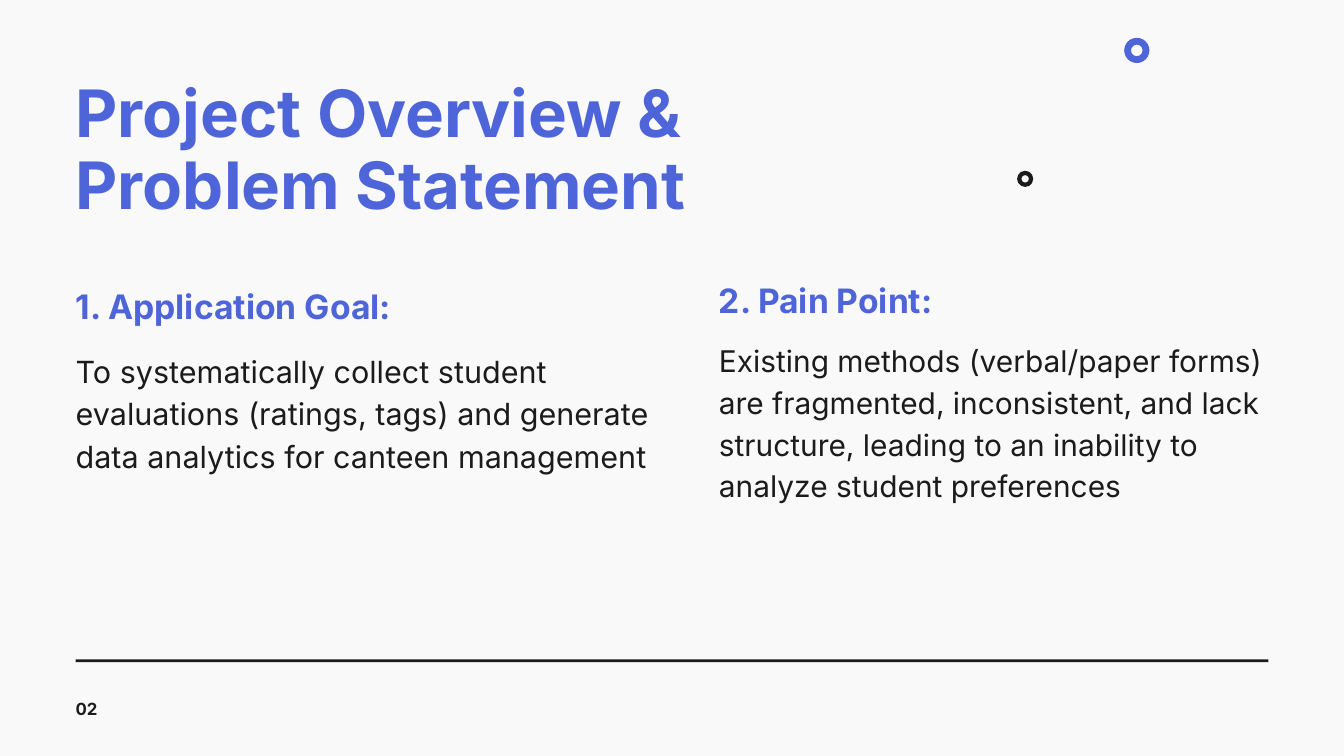
from pptx import Presentation
from pptx import util as u
from pptx.dml.color import RGBColor
from pptx.enum import shapes, text

PX = 9525  # EMU per px, on a 1920 x 1080 page
COLOURS = {"paper": "F9F9FA", "blue": "4E65D9", "ink": "1B1B1B"}
FONT = "Inter"
MARGIN, RIGHT = 108, 1812

TITLE = "Project Overview & Problem Statement"
PAGE_NUMBER = "02"
# left, width, (heading, top, size, line spacing), (body, top, height, size, line spacing)
COLUMNS = [
    (MARGIN, 886,
     ("1. Application Goal:", 399, 36.1, 50.5),
     ("To systematically collect student evaluations (ratings, tags) and generate "
      "data analytics for canteen management", 495, 180, 32.7, 45.8)),
    (1027, 785,
     ("2. Pain Point:", 390, 36, 50.4),
     ("Existing methods (verbal/paper forms) are fragmented, inconsistent, and lack "
      "structure, leading to an inability to analyze student preferences",
      481, 232, 32, 44.8)),
]
# left, top, diameter, colour
RINGS = [(1606, 54, 36, "blue"), (1453, 244, 23, "ink")]


def colour(name):
    return RGBColor.from_string(COLOURS[name])


def place(shape, left, top, width, height):
    shape.left, shape.top, shape.width, shape.height = (
        n * PX for n in (left, top, width, height))


def write(box, wording, size, spacing, name, bold):
    """Fill a box with one unpadded, left-aligned paragraph."""
    frame = box.text_frame
    frame.text = wording
    frame_format = {
        "margin_left": 0, "margin_top": 0, "margin_right": 0, "margin_bottom": 0,
        "word_wrap": True, "auto_size": text.MSO_AUTO_SIZE.NONE,
        "vertical_anchor": text.MSO_ANCHOR.TOP,
    }
    for key, value in frame_format.items():
        setattr(frame, key, value)
    para = frame.paragraphs[0]
    para.alignment = text.PP_ALIGN.LEFT
    para.space_before = u.Pt(0)
    para.line_spacing = u.Pt(spacing)
    span = para.runs[0]
    for key, value in {"name": FONT, "size": u.Pt(size), "bold": bold}.items():
        setattr(span.font, key, value)
    span.font.color.rgb = colour(name)


def add_text(page, area, *style):
    box = page.shapes.add_textbox(0, 0, 0, 0)
    place(box, *area)
    write(box, *style)


def add_solid(page, kind, area, name):
    shape = page.shapes.add_shape(kind, 0, 0, 0, 0)
    place(shape, *area)
    shape.shadow.inherit = False
    shape.fill.solid()
    shape.fill.fore_color.rgb = colour(name)
    shape.line.fill.background()
    return shape


def main():
    deck = Presentation()
    deck.slide_width, deck.slide_height = 1920 * PX, 1080 * PX
    page = deck.slides.add_slide(deck.slide_layouts[5])
    page.background.fill.solid()
    page.background.fill.fore_color.rgb = colour("paper")

    title = page.shapes.title
    place(title, MARGIN, 113, 1097, 208)
    write(title, TITLE, 70, 77, "blue", True)

    for left, width, heading, body in COLUMNS:
        wording, top, size, spacing = heading
        add_text(page, (left, top, width, 63), wording, size, spacing, "blue", True)
        wording, top, height, size, spacing = body
        add_text(page, (left, top, width, height), wording, size, spacing, "ink", False)

    add_solid(page, shapes.MSO_SHAPE.RECTANGLE, (MARGIN, 942, RIGHT - MARGIN, 4), "ink")
    add_text(page, (MARGIN, 993, 237, 33), PAGE_NUMBER, 18, 25.2, "ink", True)

    for left, top, diameter, name in RINGS:
        ring = add_solid(page, shapes.MSO_SHAPE.DONUT, (left, top, diameter, diameter), name)
        ring.adjustments[0] = 0.27

    deck.save("out.pptx")


if __name__ == "__main__":
    main()
